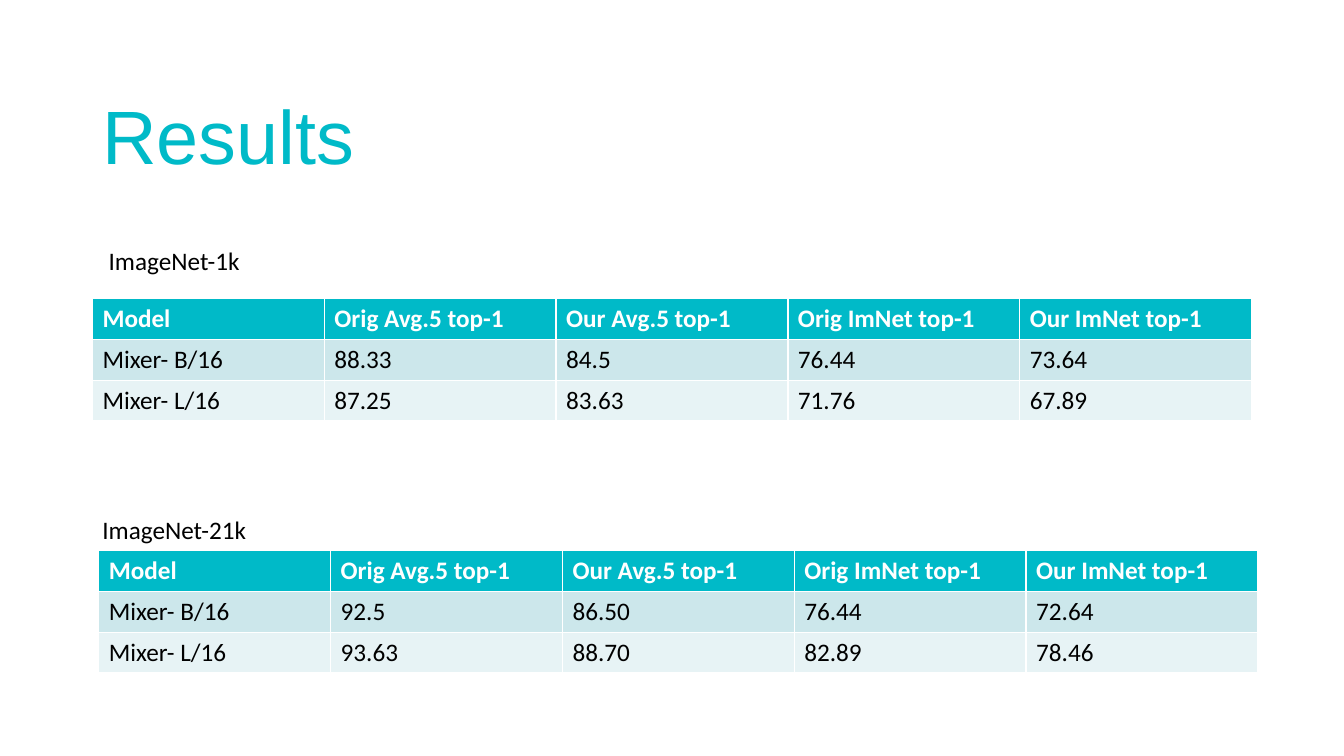
from pptx import Presentation
from pptx.dml.color import RGBColor
from pptx.enum import text
from pptx.util import Cm, Pt

TEAL, WHITE, BLACK = "00BAC8", "FFFFFF", "000000"
BAND_FILLS = ["CCE7EB", "E7F3F5"]
LEFT, WIDTH, ROW_HEIGHT = 2.33, 29.21, 1.03
INDENT = 0.16
HEADER = ["Model", "Orig Avg.5 top-1", "Our Avg.5 top-1",
          "Orig ImNet top-1", "Our ImNet top-1"]
IMAGENET_1K = [
    ["Mixer- B/16", "88.33", "84.5", "76.44", "73.64"],
    ["Mixer- L/16", "87.25", "83.63", "71.76", "67.89"],
]
IMAGENET_21K = [
    ["Mixer- B/16", "92.5", "86.50", "76.44", "72.64"],
    ["Mixer- L/16", "93.63", "88.70", "82.89", "78.46"],
]


def color(hex_string):
    return RGBColor.from_string(hex_string)


def add_run(paragraph, words, size, font_name, hex_color, bold=False):
    run = paragraph.add_run()
    run.text = words
    run.font.size = Pt(size)
    run.font.name = font_name
    run.font.bold = bold
    run.font.color.rgb = color(hex_color)


def add_text_box(slide, left, top, width, height):
    """Add a wrapping text box and return its text frame."""
    frame = slide.shapes.add_textbox(Cm(left), Cm(top), Cm(width), Cm(height)).text_frame
    frame.word_wrap = True
    return frame


def add_title(slide, left, top, width, height):
    frame = add_text_box(slide, left, top, width, height)
    frame.vertical_anchor = text.MSO_ANCHOR.BOTTOM
    paragraph = frame.paragraphs[0]
    paragraph.line_spacing = 0.9
    add_run(paragraph, "Results", 54, "Arial", TEAL)


def add_caption(slide, words, left, top, width):
    frame = add_text_box(slide, left, top, width, ROW_HEIGHT)
    add_run(frame.paragraphs[0], words, 18, "Calibri", BLACK)


def add_results_table(slide, results, left, top, width):
    """Add a header row and banded result rows; the table style draws the white rules."""
    rows = [HEADER] + results
    table = slide.shapes.add_table(
        len(rows), len(HEADER), Cm(left), Cm(top), Cm(width), Cm(ROW_HEIGHT * len(rows))
    ).table
    for row_index, row in enumerate(rows):
        is_header = row_index == 0
        fill = TEAL if is_header else BAND_FILLS[(row_index - 1) % 2]
        for column_index, words in enumerate(row):
            cell = table.cell(row_index, column_index)
            cell.fill.solid()
            cell.fill.fore_color.rgb = color(fill)
            add_run(cell.text_frame.paragraphs[0], words, 18, "Calibri",
                    WHITE if is_header else BLACK, is_header)


def main():
    presentation = Presentation()
    presentation.slide_width, presentation.slide_height = Cm(33.87), Cm(19.05)
    slide = presentation.slides.add_slide(presentation.slide_layouts[6])
    add_title(slide, LEFT, 1.01, WIDTH, 3.68)
    add_caption(slide, "ImageNet-1k", LEFT + INDENT, 6.05, WIDTH)
    add_results_table(slide, IMAGENET_1K, LEFT, 7.52, WIDTH)
    add_caption(slide, "ImageNet-21k", LEFT, 12.83, WIDTH)
    add_results_table(slide, IMAGENET_21K, LEFT + INDENT, 13.87, WIDTH)
    presentation.save("out.pptx")


if __name__ == "__main__":
    main()
